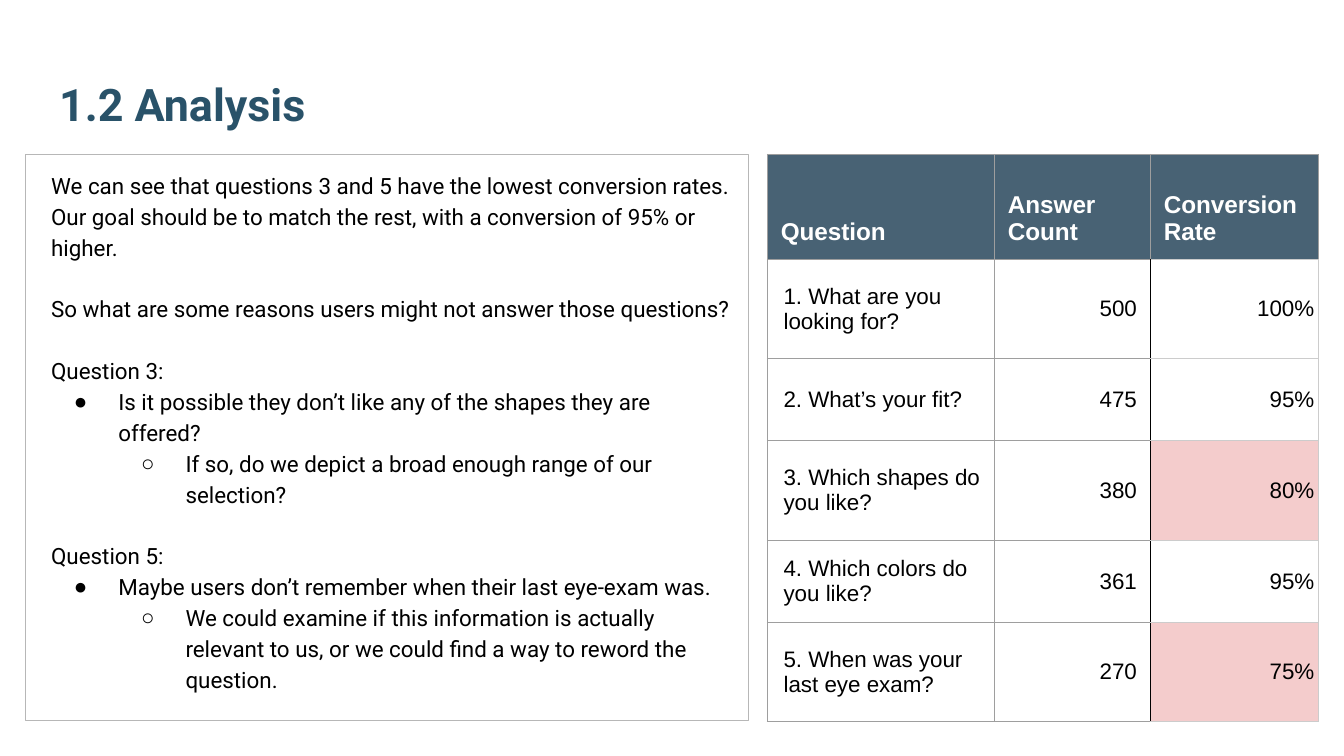
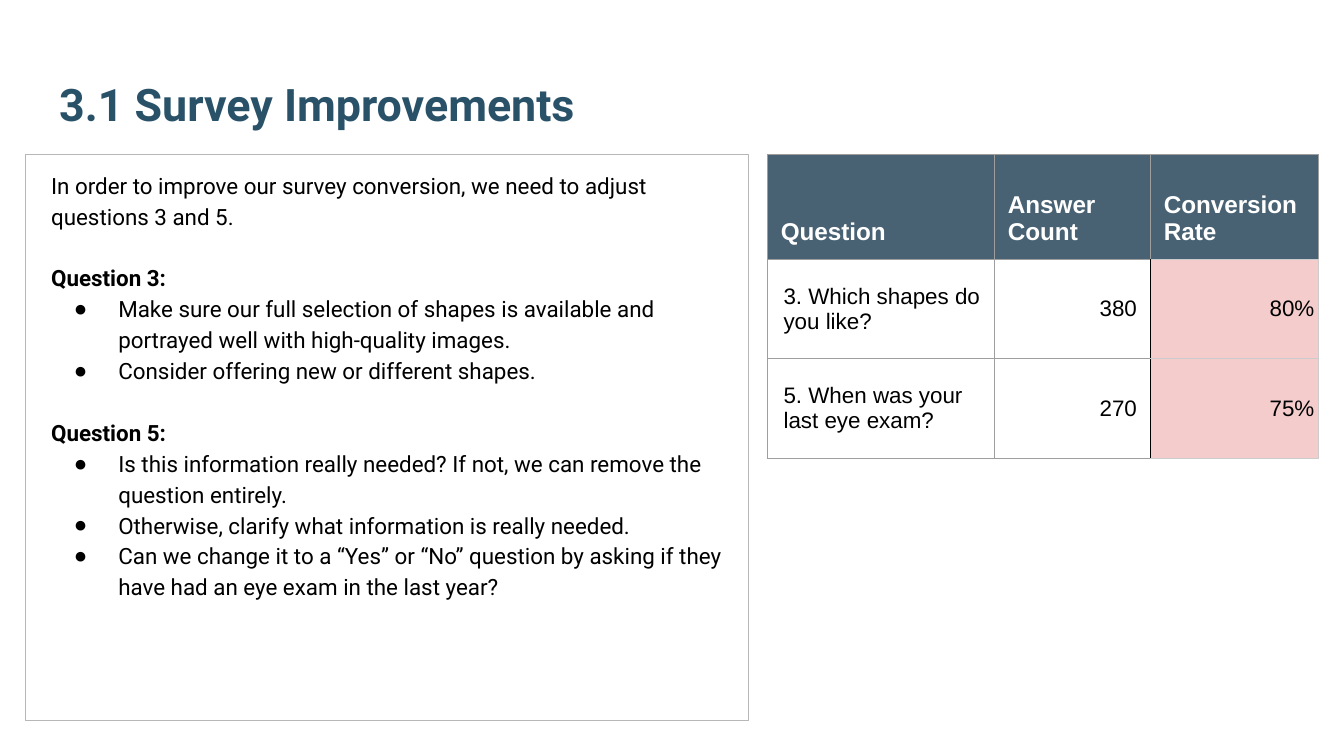
"""Build the two survey conversion slides."""
from dataclasses import dataclass

from lxml import etree
from pptx import Presentation
from pptx import util as u
from pptx.dml.color import RGBColor
from pptx.enum import shapes, text
from pptx.oxml import ns


@dataclass(frozen=True)
class Theme:
    title: str = "295269"
    ink: str = "000000"
    paper: str = "FFFFFF"
    header: str = "204056"
    header_alpha: int = 82
    alert: str = "F4CCCC"
    frame: str = "B7B7B7"
    grid: str = "9E9E9E"
    pale_grid: str = "CCCCCC"
    text_font: str = "Roboto"
    table_font: str = "Arial"
    bullet_font: str = "Arial"
    title_size: int = 24
    header_size: int = 13
    body_size: int = 12
    line_width: float = 0.75
    line_spacing: float = 1.15
    group_gap: float = 16.5


@dataclass(frozen=True)
class Area:
    left: float
    top: float
    width: float
    height: float

    def lengths(self) -> tuple:
        return tuple(u.Inches(v) for v in (self.left, self.top, self.width, self.height))


@dataclass(frozen=True)
class Line:
    words: str
    level: int = 0
    bold: bool = False
    gap: bool = False


@dataclass(frozen=True)
class Question:
    label: str
    count: int
    rate: int
    height: float = 0.74

    @property
    def is_low(self) -> bool:
        return self.rate < 95


@dataclass(frozen=True)
class Content:
    title: str
    lines: list[Line]
    questions: list[Question]


THEME = Theme()
TITLE_AREA = Area(0.34, 0.15, 9.32, 0.92)
NOTES_AREA = Area(0.19, 1.15, 5.38, 4.21)
TABLE_LEFT = 5.71
COLUMNS = {"Question": 1.69, "Answer Count": 1.16, "Conversion Rate": 1.25}
HEADER_HEIGHT = 0.78
BULLETS = {1: "●", 2: "○"}
BULLET_HANG = 0.33
LABEL_INDENT = 0.02
WIDE_INSETS = (0.1, 0.1, 0.1, 0.1)
TIGHT_INSETS = (0.03, 0.02, 0.03, 0.02)

SHAPES = Question("3. Which shapes do you like?", 380, 80)
EYE_EXAM = Question("5. When was your last eye exam?", 270, 75)

CONTENTS = [
    Content(
        "1.2 Analysis",
        [
            Line("We can see that questions 3 and 5 have the lowest conversion rates. "
                 "Our goal should be to match the rest, with a conversion of 95% or higher."),
            Line("So what are some reasons users might not answer those questions?", gap=True),
            Line("Question 3:", gap=True),
            Line("Is it possible they don’t like any of the shapes they are offered?", 1),
            Line("If so, do we depict a broad enough range of our selection?", 2),
            Line("Question 5:", gap=True),
            Line("Maybe users don’t remember when their last eye-exam was.", 1),
            Line("We could examine if this information is actually relevant to us, "
                 "or we could find a way to reword the question.", 2),
        ],
        [
            Question("1. What are you looking for?", 500, 100),
            Question("2. What’s your fit?", 475, 95, 0.61),
            SHAPES,
            Question("4. Which colors do you like?", 361, 95, 0.61),
            EYE_EXAM,
        ],
    ),
    Content(
        "3.1 Survey Improvements",
        [
            Line("In order to improve our survey conversion, we need to adjust questions 3 and 5."),
            Line("Question 3:", bold=True, gap=True),
            Line("Make sure our full selection of shapes is available and portrayed well "
                 "with high-quality images.", 1),
            Line("Consider offering new or different shapes.", 1),
            Line("Question 5:", bold=True, gap=True),
            Line("Is this information really needed? If not, we can remove the question entirely.", 1),
            Line("Otherwise, clarify what information is really needed.", 1),
            Line("Can we change it to a “Yes” or “No” question by asking if they have had "
                 "an eye exam in the last year?", 1),
        ],
        [SHAPES, EYE_EXAM],
    ),
]


def add_run(para, words: str, font: str, size: int, color: str, bold: bool = False) -> None:
    span = para.add_run()
    span.text = words
    span.font.name = font
    span.font.size = u.Pt(size)
    span.font.bold = bold
    span.font.color.rgb = RGBColor.from_string(color)


def set_insets(target, insets: tuple) -> None:
    sides = ("margin_left", "margin_top", "margin_right", "margin_bottom")
    for side, inset in zip(sides, insets):
        setattr(target, side, u.Inches(inset))


def add_bullet(para, level: int) -> None:
    props = para._p.get_or_add_pPr()
    props.set("marL", str(u.Inches(0.5 * level)))
    props.set("indent", str(-u.Inches(BULLET_HANG)))
    color = etree.SubElement(props, ns.qn("a:buClr"))
    etree.SubElement(color, ns.qn("a:srgbClr"), val=THEME.ink)
    etree.SubElement(props, ns.qn("a:buFont"), typeface=THEME.bullet_font)
    etree.SubElement(props, ns.qn("a:buChar"), char=BULLETS[level])
    para.level = level - 1


def add_title(page, words: str) -> None:
    box = page.shapes.title
    box.left, box.top, box.width, box.height = TITLE_AREA.lengths()
    frame = box.text_frame
    frame.word_wrap = True
    frame.auto_size = text.MSO_AUTO_SIZE.NONE
    frame.vertical_anchor = text.MSO_ANCHOR.BOTTOM
    set_insets(frame, WIDE_INSETS)
    para = frame.paragraphs[0]
    para.alignment = text.PP_ALIGN.LEFT
    add_run(para, words, THEME.text_font, THEME.title_size, THEME.title, True)


def add_notes_box(page, lines: list[Line]) -> None:
    box = page.shapes.add_shape(shapes.MSO_SHAPE.RECTANGLE, *NOTES_AREA.lengths())
    box.shadow.inherit = False
    box.fill.background()
    box.line.color.rgb = RGBColor.from_string(THEME.frame)
    box.line.width = u.Pt(THEME.line_width)
    frame = box.text_frame
    frame.word_wrap = True
    frame.vertical_anchor = text.MSO_ANCHOR.TOP
    set_insets(frame, (0.19, 0.1, 0.1, 0.1))
    for index, line in enumerate(lines):
        para = frame.add_paragraph() if index else frame.paragraphs[0]
        if line.level:
            add_bullet(para, line.level)
        para.alignment = text.PP_ALIGN.LEFT
        para.line_spacing = THEME.line_spacing
        if line.gap:
            para.space_before = u.Pt(THEME.group_gap)
        add_run(para, line.words, THEME.text_font, THEME.body_size, THEME.ink, line.bold)


def set_borders(cell, left: str, right: str, top: str, bottom: str) -> None:
    props = cell._tc.get_or_add_tcPr()
    for index, (side, color) in enumerate(zip("LRTB", (left, right, top, bottom))):
        edge = etree.Element(ns.qn(f"a:ln{side}"), w=str(u.Pt(THEME.line_width)))
        fill = etree.SubElement(edge, ns.qn("a:solidFill"))
        etree.SubElement(fill, ns.qn("a:srgbClr"), val=color)
        props.insert(index, edge)


def fill_cell(cell, color: str | None, alpha: int = 100) -> None:
    if color is None:
        cell.fill.background()
        return
    cell.fill.solid()
    cell.fill.fore_color.rgb = RGBColor.from_string(color)
    if alpha < 100:
        tint = cell._tc.tcPr.find(".//" + ns.qn("a:srgbClr"))
        etree.SubElement(tint, ns.qn("a:alpha"), val=str(alpha * 1000))


def write_header(cell, words: str, is_rate: bool) -> None:
    fill_cell(cell, THEME.header, THEME.header_alpha)
    bottom = THEME.pale_grid if is_rate else THEME.grid
    set_borders(cell, THEME.grid, THEME.grid, THEME.grid, bottom)
    set_insets(cell, WIDE_INSETS)
    cell.vertical_anchor = text.MSO_ANCHOR.BOTTOM
    add_run(cell.text_frame.paragraphs[0], words, THEME.table_font,
            THEME.header_size, THEME.paper, True)


def write_question(cells: list, question: Question) -> None:
    grid, pale, ink = THEME.grid, THEME.pale_grid, THEME.ink
    values = (question.label, str(question.count), f"{question.rate}%")
    fills = (None, None, THEME.alert if question.is_low else None)
    insets = (WIDE_INSETS, WIDE_INSETS, TIGHT_INSETS)
    borders = ((grid, grid, grid, grid), (grid, ink, grid, grid), (ink, pale, pale, pale))
    for column, cell in enumerate(cells):
        fill_cell(cell, fills[column])
        set_borders(cell, *borders[column])
        set_insets(cell, insets[column])
        cell.vertical_anchor = text.MSO_ANCHOR.MIDDLE
        para = cell.text_frame.paragraphs[0]
        if column:
            para.alignment = text.PP_ALIGN.RIGHT
        else:
            para._p.get_or_add_pPr().set("marL", str(u.Inches(LABEL_INDENT)))
        add_run(para, values[column], THEME.table_font, THEME.body_size, ink)


def add_question_table(page, questions: list[Question]) -> None:
    heights = [HEADER_HEIGHT] + [question.height for question in questions]
    area = Area(TABLE_LEFT, NOTES_AREA.top, sum(COLUMNS.values()), sum(heights))
    table = page.shapes.add_table(len(heights), len(COLUMNS), *area.lengths()).table
    table.first_row = table.horz_banding = False
    for row, height in zip(table.rows, heights):
        row.height = u.Inches(height)
    for index, (words, width) in enumerate(COLUMNS.items()):
        table.columns[index].width = u.Inches(width)
        write_header(table.cell(0, index), words, index == len(COLUMNS) - 1)
    for row, question in enumerate(questions, 1):
        write_question(list(table.rows[row].cells), question)


def main() -> None:
    deck = Presentation()
    deck.slide_width = u.Inches(10)
    deck.slide_height = deck.slide_width * 9 // 16
    for content in CONTENTS:
        page = deck.slides.add_slide(deck.slide_layouts.get_by_name("Title Only"))
        add_title(page, content.title)
        add_notes_box(page, content.lines)
        add_question_table(page, content.questions)
    deck.save("out.pptx")


if __name__ == "__main__":
    main()
